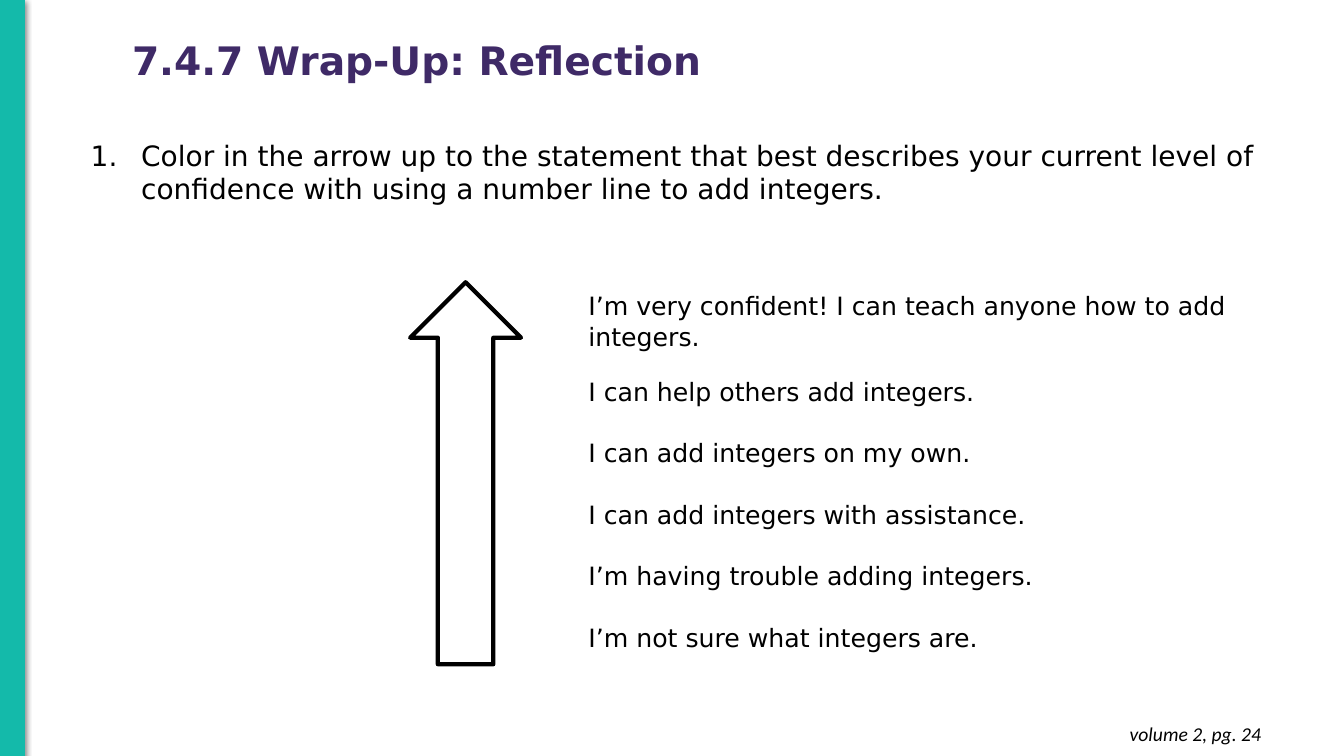
"""Build the wrap-up reflection slide with a confidence arrow."""
from lxml.etree import SubElement
from pptx import Presentation
from pptx.dml.color import RGBColor
from pptx.enum.shapes import MSO_SHAPE
from pptx.enum.text import MSO_ANCHOR, MSO_AUTO_SIZE, PP_ALIGN
from pptx.oxml.ns import qn
from pptx.util import Pt

TITLE = "7.4.7 Wrap-Up: Reflection"
PROMPT = ("Color in the arrow up to the statement that best describes your current "
          "level of confidence with using a number line to add integers.")
STATEMENTS = [
    "I’m very confident! I can teach anyone how to add integers.",
    "I can help others add integers.",
    "I can add integers on my own.",
    "I can add integers with assistance.",
    "I’m having trouble adding integers.",
    "I’m not sure what integers are.",
]
PAGE_REFERENCE = "volume 2, pg. 24"

TEAL = RGBColor(0x14, 0xBA, 0xAA)
PURPLE = RGBColor(0x3F, 0x2A, 0x67)
BLACK = RGBColor(0, 0, 0)
BODY_FONT = "DejaVu Sans"
SLIDE_WIDTH, SLIDE_HEIGHT = 960, 540
SCALE_TOP, SCALE_HEIGHT = 201.6, 272.9
ROW_HEIGHT = 43.9
GAP_WIDTH, STATEMENT_WIDTH = 12.2, 487.4
CELL_MARGIN = 5


def place(part, left, top, width, height):
    part.left, part.top = Pt(left), Pt(top)
    part.width, part.height = Pt(width), Pt(height)


def write(frame, text, size, color=BLACK, face=BODY_FONT, bold=False, italic=False):
    frame.text = text
    frame.word_wrap = True
    paragraph = frame.paragraphs[0]
    paragraph.space_before = Pt(0)
    for run in paragraph.runs:
        run.font.name, run.font.size = face, Pt(size)
        run.font.bold, run.font.italic = bold, italic
        run.font.color.rgb = color
    return paragraph


def add_outline(slide, preset, box, color, weight):
    outline = slide.shapes.add_shape(preset, *map(Pt, box))
    outline.shadow.inherit = False
    outline.fill.background()
    outline.line.color.rgb = color
    outline.line.width = Pt(weight)
    return outline


def add_bar(slide):
    bar = add_outline(slide, MSO_SHAPE.RECTANGLE, (0, 0, 17.6, 540.7), TEAL, 0.75)
    bar.fill.solid()
    bar.fill.fore_color.rgb = TEAL
    effects = bar._element.spPr.find(qn("a:effectLst"))
    shadow = SubElement(effects, qn("a:outerShdw"), blurRad=str(Pt(4.5)),
                        dist=str(Pt(1.5)), dir="5400000", rotWithShape="0")
    shade = SubElement(shadow, qn("a:srgbClr"), val=str(BLACK))
    SubElement(shade, qn("a:alpha"), val="50000")


def add_title(slide):
    title = slide.shapes.title
    place(title, 87.1, -7.2, 631.4, 104.4)
    paragraph = write(title.text_frame, TITLE, 28, PURPLE, bold=True)
    paragraph.alignment = PP_ALIGN.LEFT
    paragraph.line_spacing = 0.9
    title.text_frame.vertical_anchor = MSO_ANCHOR.MIDDLE
    title.text_frame.auto_size = MSO_AUTO_SIZE.NONE


def add_prompt(slide):
    prompt = slide.placeholders[1]
    place(prompt, 57.6, 95, 850.3, 55.4)
    paragraph = write(prompt.text_frame, PROMPT, 20)
    prompt.text_frame.auto_size = MSO_AUTO_SIZE.NONE
    properties = paragraph._p.get_or_add_pPr()
    properties.set("marL", str(Pt(36)))
    properties.set("indent", str(-Pt(36)))
    number_color = SubElement(properties, qn("a:buClr"))
    SubElement(number_color, qn("a:srgbClr"), val=str(BLACK))
    SubElement(properties, qn("a:buFont"), typeface=BODY_FONT)
    SubElement(properties, qn("a:buAutoNum"), type="arabicPeriod")


def add_page_reference(slide):
    reference = slide.shapes.add_textbox(Pt(700.6), Pt(508.3), Pt(207.4), Pt(31.7))
    frame = reference.text_frame
    frame.margin_top = frame.margin_bottom = Pt(7.2)
    paragraph = write(frame, PAGE_REFERENCE, 14, face="Calibri", italic=True)
    paragraph.alignment = PP_ALIGN.RIGHT


def add_statements(slide):
    table = slide.shapes.add_table(
        len(STATEMENTS), 2, Pt(402.5), Pt(SCALE_TOP),
        Pt(GAP_WIDTH + STATEMENT_WIDTH), Pt(ROW_HEIGHT * len(STATEMENTS))).table
    table.first_row = table.horz_banding = False
    table.columns[0].width = Pt(GAP_WIDTH)
    table.columns[1].width = Pt(STATEMENT_WIDTH)
    for row, statement in zip(table.rows, STATEMENTS):
        row.height = Pt(ROW_HEIGHT)
        for cell in row.cells:
            cell.fill.background()
            cell.vertical_anchor = MSO_ANCHOR.MIDDLE
            cell.margin_left = cell.margin_right = Pt(CELL_MARGIN)
            cell.margin_top = cell.margin_bottom = Pt(CELL_MARGIN)
        write(row.cells[1].text_frame, statement, 18).line_spacing = 1.07


def add_arrow(slide):
    arrow = add_outline(slide, MSO_SHAPE.UP_ARROW,
                        (293, SCALE_TOP, 79.2, SCALE_HEIGHT), BLACK, 3)
    SubElement(arrow._element.spPr.find(qn("a:ln")), qn("a:round"))


def main():
    deck = Presentation()
    deck.slide_width, deck.slide_height = Pt(SLIDE_WIDTH), Pt(SLIDE_HEIGHT)
    slide = deck.slides.add_slide(deck.slide_layouts[1])
    for add_part in (add_bar, add_title, add_prompt, add_page_reference,
                     add_statements, add_arrow):
        add_part(slide)
    deck.save("out.pptx")


if __name__ == "__main__":
    main()
